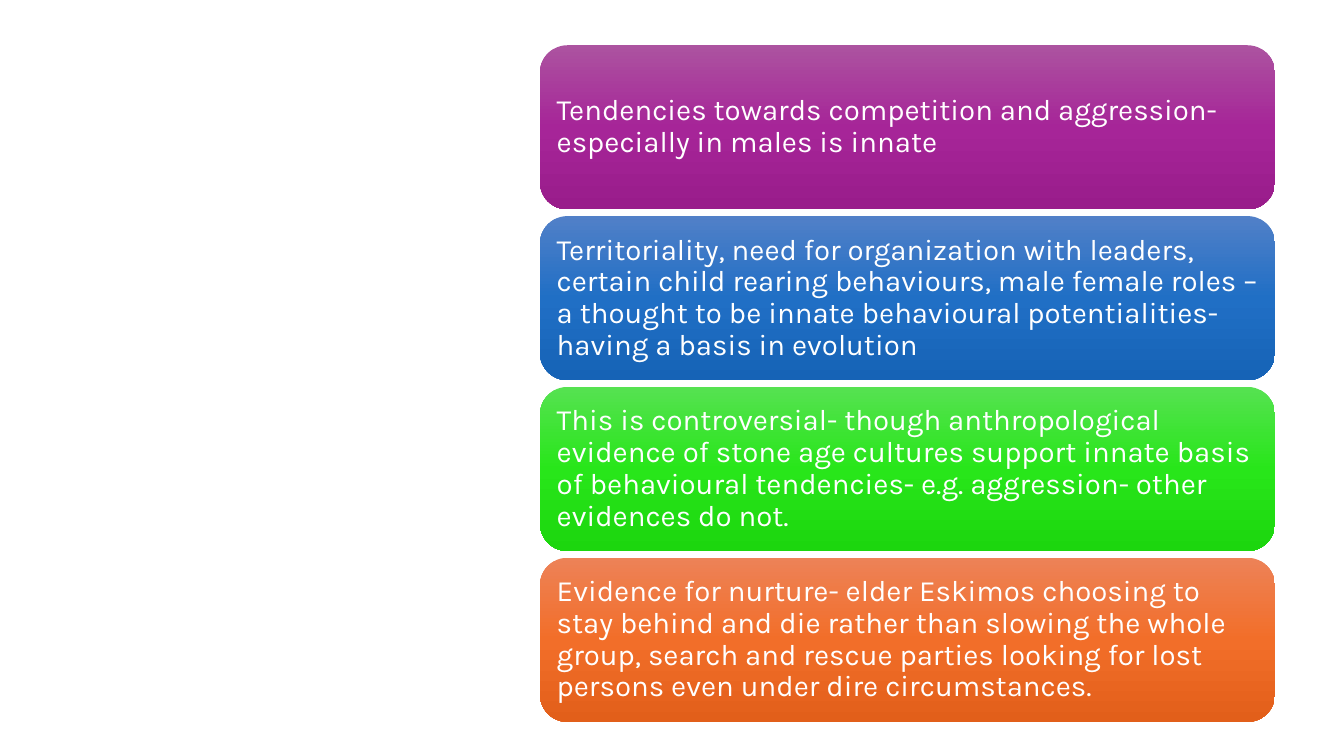
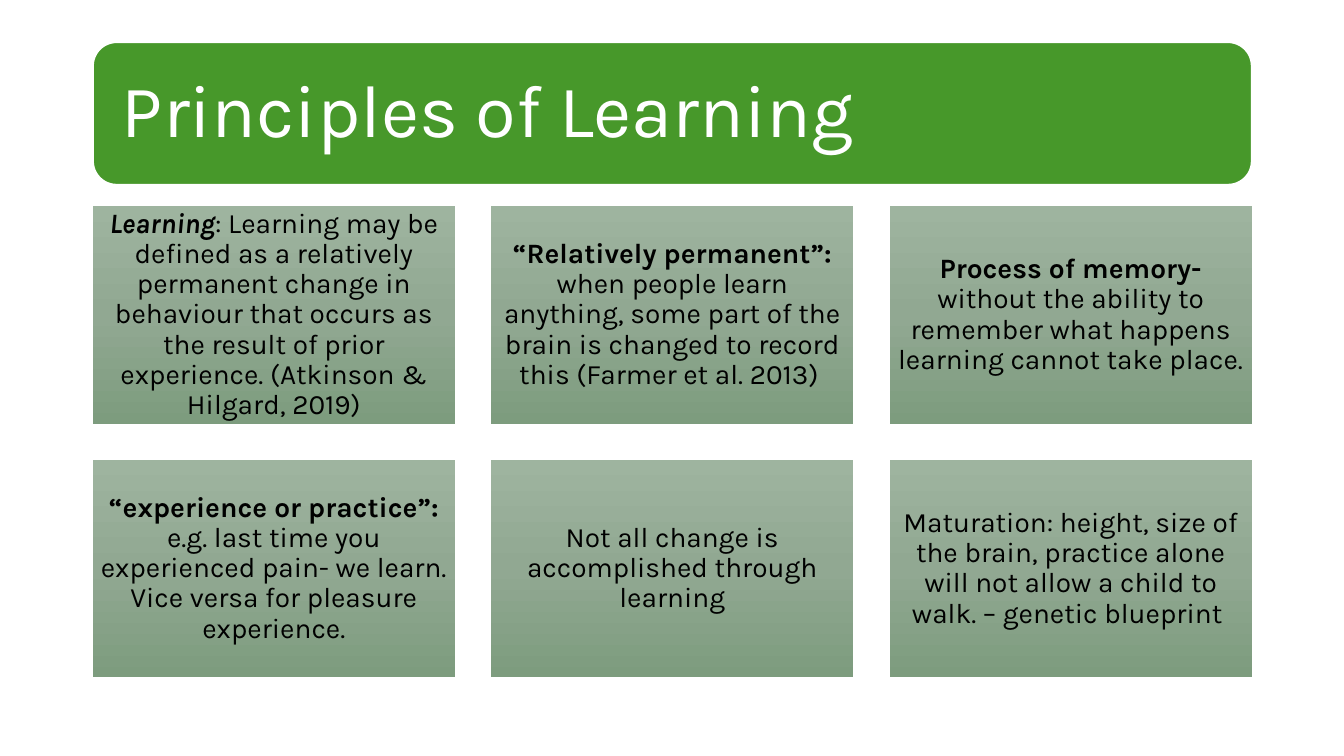
from dataclasses import dataclass

from lxml.etree import SubElement
from pptx import Presentation
from pptx.dml.color import RGBColor as RGB
from pptx.enum.shapes import MSO_SHAPE as Preset
from pptx.enum.text import MSO_ANCHOR as Anchor, PP_ALIGN as Align
from pptx.oxml.ns import qn
from pptx.util import Cm, Pt


@dataclass(frozen=True)
class Theme:
    font: str = "Karla"
    white: str = "FFFFFF"
    black: str = "000000"
    title_green: str = "47982A"
    purple: tuple = ("AC53A0", "A62598", "991C8B")
    blue: tuple = ("5180C8", "206FC5", "1663B6")
    lime: tuple = ("56E251", "28E61A", "1CD60E")
    orange: tuple = ("ED8257", "F26E29", "E25F1A")
    sage: tuple = ("9EB49F", "91A892", "7D9C7E")
    title_size: float = 53
    statement_size: float = 21
    card_size: float = 20
    line_spacing: float = 0.9


THEME = Theme()

# Boxes are left, top, width, height in centimetres
STATEMENTS_BOX = (13.61, 1.14, 18.52, 17.05)
TITLE_BOX = (2.34, 1.06, 29.21, 3.6)
CARDS_BOX = (2.34, 5.19, 29.21, 11.88)

STATEMENTS = [
    (THEME.purple, "Tendencies towards competition and aggression- especially in males is innate"),
    (THEME.blue, "Territoriality, need for organization with leaders, certain child rearing "
                 "behaviours, male female roles – a thought to be innate behavioural "
                 "potentialities- having a basis in evolution"),
    (THEME.lime, "This is controversial- though anthropological evidence of stone age cultures "
                 "support innate basis of behavioural tendencies- e.g. aggression- other "
                 "evidences do not."),
    (THEME.orange, "Evidence for nurture- elder Eskimos choosing to stay behind and die rather "
                   "than slowing the whole group, search and rescue parties looking for lost "
                   "persons even under dire circumstances."),
]

# Each card is a list of (text, style) runs: b for bold, i for italic
CARDS = [
    [("Learning", "bi"),
     (": Learning may be defined as a relatively permanent change in behaviour that occurs "
      "as the result of prior experience. (Atkinson & Hilgard, 2019)", "")],
    [("“Relatively permanent”: ", "b"),
     ("when people learn anything, some part of the brain is changed to record this "
      "(Farmer et al. 2013) ", "")],
    [("Process of memory- ", "b"),
     ("without the ability to remember what happens learning cannot take place.", "")],
    [("“experience or practice”: ", "b"),
     ("e.g. last time you experienced pain- we learn. Vice versa for pleasure experience.", "")],
    [("Not all change is accomplished through learning", "")],
    [("Maturation: height, size of the brain, practice alone will not allow a child to walk. "
      "– genetic blueprint ", "")],
]


def write_text(shape, runs, *, size, color, inset, align=Align.LEFT):
    frame = shape.text_frame
    frame.word_wrap = True
    frame.vertical_anchor = Anchor.MIDDLE
    frame.margin_left = frame.margin_right = Cm(inset)
    frame.margin_top = frame.margin_bottom = Cm(inset)
    paragraph = frame.paragraphs[0]
    paragraph.alignment = align
    paragraph.line_spacing = THEME.line_spacing
    for text, style in runs:
        run = paragraph.add_run()
        run.text = text
        run.font.name = THEME.font
        run.font.size = Pt(size)
        run.font.color.rgb = RGB.from_string(color)
        run.font.bold = "b" in style
        run.font.italic = "i" in style


def fill_gradient(shape, colors):
    """Spread the colours evenly from top to bottom."""
    shape.fill.gradient()
    shape.fill.gradient_angle = 270
    stops = shape.element.spPr.find(qn("a:gradFill")).find(qn("a:gsLst"))
    for stop in list(stops):
        stops.remove(stop)
    for index, color in enumerate(colors):
        position = index * 100000 // (len(colors) - 1)
        stop = SubElement(stops, qn("a:gs"), pos=str(position))
        SubElement(stop, qn("a:srgbClr"), val=color)


def add_panel(slide, preset, box, fill):
    """Add a shape with a plain colour or, for a tuple, a gradient."""
    panel = slide.shapes.add_shape(preset, *(Cm(length) for length in box))
    panel.shadow.inherit = False
    panel.line.fill.background()
    if isinstance(fill, tuple):
        fill_gradient(panel, fill)
    else:
        panel.fill.solid()
        panel.fill.fore_color.rgb = RGB.from_string(fill)
    return panel


def grid(box, columns, rows, gap):
    """Yield equal cells of the box, row by row."""
    left, top, width, height = box
    cell_width = (width - gap * (columns - 1)) / columns
    cell_height = (height - gap * (rows - 1)) / rows
    for row in range(rows):
        for column in range(columns):
            yield (left + column * (cell_width + gap), top + row * (cell_height + gap),
                   cell_width, cell_height)


def add_statements(slide, box, statements):
    cells = grid(box, 1, len(statements), 0.17)
    for cell, (colors, text) in zip(cells, statements):
        statement = add_panel(slide, Preset.ROUNDED_RECTANGLE, cell, colors)
        write_text(statement, [(text, "")], size=THEME.statement_size,
                   color=THEME.white, inset=0.22)


def add_title(slide, box, text):
    title = add_panel(slide, Preset.ROUNDED_RECTANGLE, box, THEME.title_green)
    title.line.color.rgb = RGB.from_string(THEME.white)
    title.line.width = Pt(1.5)
    write_text(title, [(text, "")], size=THEME.title_size, color=THEME.white, inset=0.56)


def add_cards(slide, box, cards):
    for cell, runs in zip(grid(box, 3, 2, 0.91), cards):
        card = add_panel(slide, Preset.RECTANGLE, cell, THEME.sage)
        write_text(card, runs, size=THEME.card_size, color=THEME.black,
                   inset=0.2, align=Align.CENTER)


def main():
    deck = Presentation()
    deck.slide_width, deck.slide_height = Cm(33.87), Cm(19.05)
    blank = deck.slide_layouts[6]

    # Innate tendencies
    tendencies = deck.slides.add_slide(blank)
    add_statements(tendencies, STATEMENTS_BOX, STATEMENTS)

    # Principles of learning
    principles = deck.slides.add_slide(blank)
    add_title(principles, TITLE_BOX, "Principles of Learning")
    add_cards(principles, CARDS_BOX, CARDS)

    deck.save("out.pptx")


if __name__ == "__main__":
    main()
